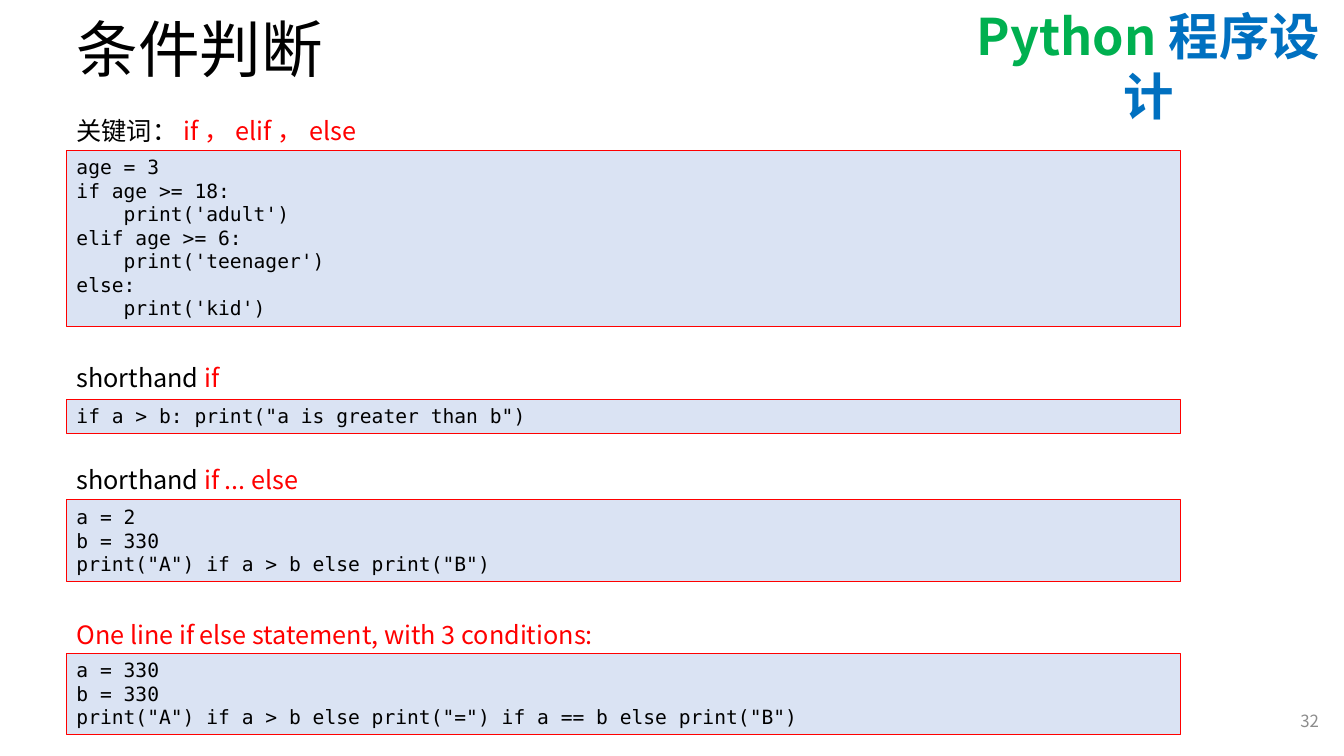
from lxml import etree
from pptx import Presentation
from pptx import util as u
from pptx.dml.color import RGBColor
from pptx.enum import shapes, text
from pptx.oxml.ns import qn

COLORS = {
    "black": "000000", "red": "FF0000", "green": "00B050", "blue": "0070C0",
    "gray": "8C8C8C", "code_fill": "DAE3F3", "white": "FFFFFF",
}
SANS, MONO, TITLE = "Noto Sans CJK SC", "DejaVu Sans Mono", "Arial"
LEFT, CODE_WIDTH, HEADING_WIDTH, HEADING_HEIGHT = 0.66, 11.05, 11.67, 0.4
LINE_HEIGHT, CODE_PADDING = 0.235, 0.105


def rgb(name):
    return RGBColor.from_string(COLORS[name])


class Lesson:
    """Holds the slide and its style."""

    def __init__(self, slide):
        self.slide = slide

    def fill_text(self, frame, paragraphs, size, font=SANS, bold=False, outline=None, **formats):
        """Fill a frame; each paragraph is a list of (words, color) runs."""
        frame.word_wrap = True
        formats = {"alignment": text.PP_ALIGN.LEFT, **formats}
        for index, runs in enumerate(paragraphs):
            paragraph = frame.add_paragraph() if index else frame.paragraphs[0]
            for name, value in formats.items():
                setattr(paragraph, name, value)
            for words, color in runs:
                run = paragraph.add_run()
                run.text = words
                for name, value in {"size": u.Pt(size), "bold": bold, "name": font}.items():
                    setattr(run.font, name, value)
                run.font.color.rgb = rgb(color)
                properties = run._r.get_or_add_rPr()
                east_asian = etree.Element(qn("a:ea"), typeface=SANS)
                properties.find(qn("a:latin")).addnext(east_asian)
                if outline:
                    line = etree.Element(qn("a:ln"), w=str(u.Pt(0.75)))
                    fill = etree.SubElement(line, qn("a:solidFill"))
                    etree.SubElement(fill, qn("a:srgbClr"), val=COLORS[outline])
                    properties.insert(0, line)

    def label(self, box, runs, size, anchor=text.MSO_ANCHOR.TOP, **style):
        frame = self.slide.shapes.add_textbox(*map(u.Inches, box)).text_frame
        frame.vertical_anchor = anchor
        self.fill_text(frame, [runs], size, **style)

    def code(self, top, source):
        lines = source.split("\n")
        box = (LEFT, top, CODE_WIDTH, CODE_PADDING + LINE_HEIGHT * len(lines))
        panel = self.slide.shapes.add_shape(
            shapes.MSO_SHAPE.RECTANGLE, *map(u.Inches, box))
        panel.shadow.inherit = False
        panel.fill.solid()
        panel.fill.fore_color.rgb = rgb("code_fill")
        panel.line.color.rgb = rgb("red")
        panel.line.width = u.Pt(0.75)
        panel.text_frame.vertical_anchor = text.MSO_ANCHOR.TOP
        self.fill_text(panel.text_frame, [[(line, "black")] for line in lines], 14, font=MONO)

    def example(self, heading_top, heading, code_top, source):
        self.code(code_top, source)
        self.label((LEFT, heading_top, HEADING_WIDTH, HEADING_HEIGHT), heading, 18)


EXAMPLES = [
    (1.09, [("关键词：", "black"), ("if，elif，else", "red")], 1.49,
     """age = 3
if age >= 18:
    print('adult')
elif age >= 6:
    print('teenager')
else:
    print('kid')"""),
    (3.55, [("shorthand ", "black"), ("if", "red")], 3.96,
     'if a > b: print("a is greater than b")'),
    (4.56, [("shorthand ", "black"), ("if ... else", "red")], 4.96,
     """a = 2
b = 330
print("A") if a > b else print("B")"""),
    (6.09, [("One line if else statement, with 3 conditions:", "red")], 6.48,
     """a = 330
b = 330
print("A") if a > b else print("=") if a == b else print("B")"""),
]


def main():
    deck = Presentation()
    deck.slide_width, deck.slide_height = u.Inches(13.33), u.Inches(7.5)
    lesson = Lesson(deck.slides.add_slide(deck.slide_layouts[6]))

    # Course name, title and page number
    lesson.label((9.47, 0, 3.84, 0.71), [("Python", "green"), ("程序设计", "blue")], 36,
                 bold=True, outline="white", alignment=text.PP_ALIGN.CENTER)
    lesson.label((LEFT, 0, 11.5, 1.05), [("条件判断", "black")], 44,
                 anchor=text.MSO_ANCHOR.MIDDLE, font=TITLE, line_spacing=0.9)
    lesson.label((10.18, 6.95, 3, 0.4), [("32", "gray")], 12,
                 anchor=text.MSO_ANCHOR.MIDDLE, alignment=text.PP_ALIGN.RIGHT)

    # Headings with their code panels
    for example in EXAMPLES:
        lesson.example(*example)

    deck.save("out.pptx")


if __name__ == "__main__":
    main()
